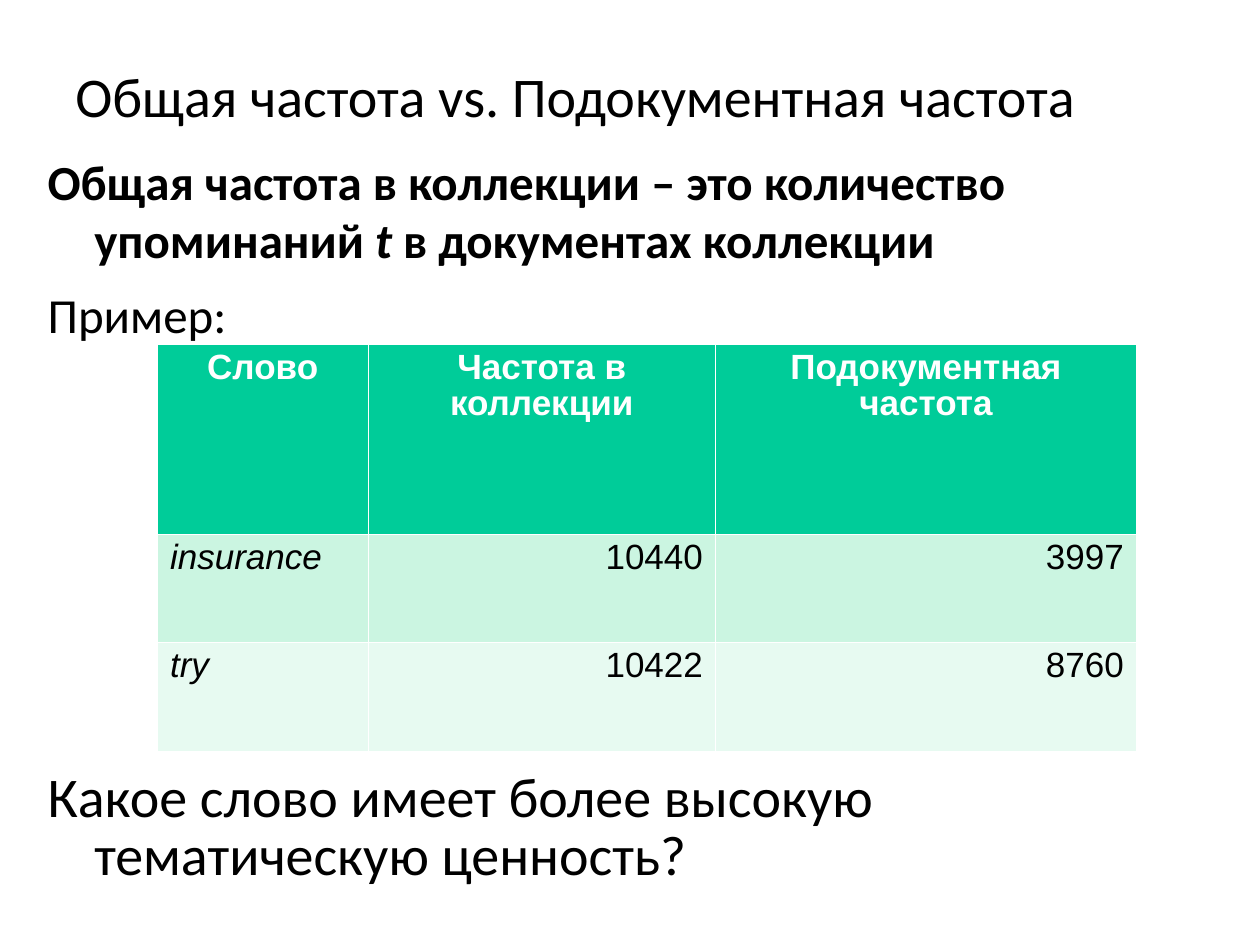
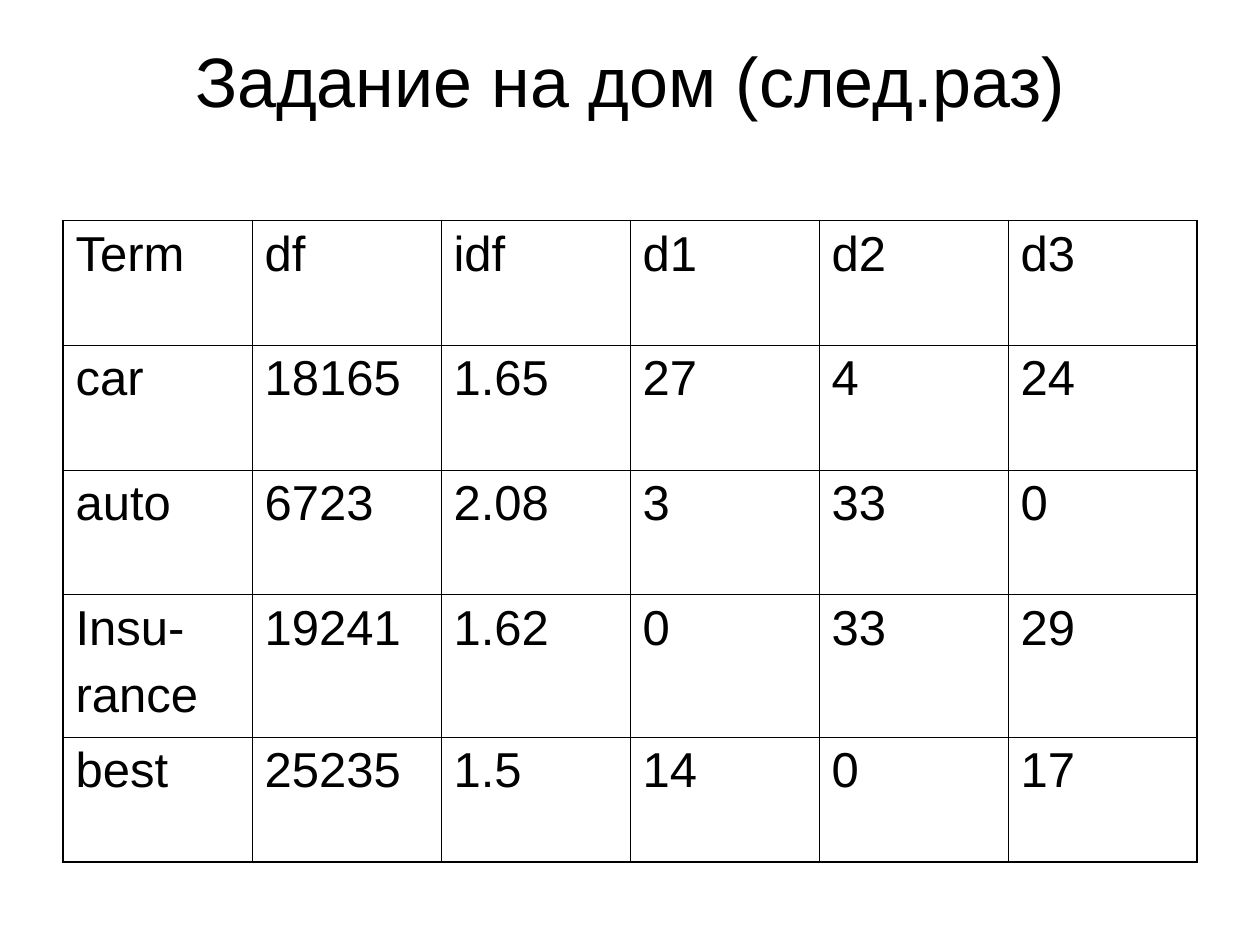
"""Build two slides on term frequency, each with a title and a table."""
from lxml import etree
from pptx import Presentation
from pptx.dml.color import RGBColor
from pptx.enum.text import MSO_ANCHOR, PP_ALIGN
from pptx.oxml.ns import qn
from pptx.util import Inches, Pt

LEFT, CENTER, RIGHT = PP_ALIGN.LEFT, PP_ALIGN.CENTER, PP_ALIGN.RIGHT
TOP, BOTTOM = MSO_ANCHOR.TOP, MSO_ANCHOR.BOTTOM

COLORS = {
    "ink": "000000",
    "paper": "FFFFFF",
    "header": "00CC99",
    "band_dark": "CBF5E1",
    "band_light": "E7FAF1",
}
COLUMNS, ROWS = 100, 75
CELL = Inches(0.1)

FREQUENCY_ROWS = [
    ["Слово", "Частота в коллекции", "Подокументная частота"],
    ["insurance", "10440", "3997"],
    ["try", "10422", "8760"],
]
HOMEWORK_ROWS = [
    ["Term", "df", "idf", "d1", "d2", "d3"],
    ["car", "18165", "1.65", "27", "4", "24"],
    ["auto", "6723", "2.08", "3", "33", "0"],
    ["Insu-\nrance", "19241", "1.62", "0", "33", "29"],
    ["best", "25235", "1.5", "14", "0", "17"],
]


def grid(*cells):
    """Turn counts of grid cells into lengths."""
    return [round(count * CELL) for count in cells]


def style(para, size, font="Calibri", color="ink", bold=False, italic=False,
          align=LEFT, spacing=1.0):
    """Set the font, alignment and line spacing of a paragraph."""
    para.alignment = align
    para.line_spacing = spacing
    para.font.size = Pt(size)
    para.font.name = font
    para.font.bold = bold
    para.font.italic = italic
    para.font.color.rgb = RGBColor.from_string(COLORS[color])


def add_box(page, place, anchor=TOP):
    """Add a wrapping text box and return its text frame."""
    frame = page.shapes.add_textbox(*grid(*place)).text_frame
    frame.word_wrap = True
    frame.vertical_anchor = anchor
    return frame


def add_title(page, text, place, anchor, size, **look):
    """Add a slide title."""
    frame = add_box(page, place, anchor)
    frame.paragraphs[0].text = text
    style(frame.paragraphs[0], size, **look)
    return frame


def add_hanging(para, spans, size, **look):
    """Fill a paragraph with a hanging indent from (text, italic) spans."""
    props = para._p.get_or_add_pPr()
    props.set("marL", str(Inches(0.38)))
    props.set("indent", str(-Inches(0.37)))
    para.space_after = Pt(14)
    style(para, size, **look)
    for text, italic in spans:
        span = para.add_run()
        span.text = text
        if italic:
            span.font.italic = True


def set_borders(cell, color, widths):
    """Draw the left, right, top and bottom borders of a cell."""
    props = cell._tc.get_or_add_tcPr()
    for index, (side, width) in enumerate(zip("LRTB", widths)):
        line = etree.Element(qn(f"a:ln{side}"), w=str(Pt(width)))
        fill = etree.SubElement(line, qn("a:solidFill"))
        etree.SubElement(fill, qn("a:srgbClr"), val=COLORS[color])
        props.insert(index, line)


def add_table(page, rows, corner, widths, heights):
    """Add a plain table with its text and return it."""
    place = grid(*corner, sum(widths), sum(heights))
    table = page.shapes.add_table(len(rows), len(widths), *place).table
    table.first_row = table.horz_banding = False
    for column, width in zip(table.columns, grid(*widths)):
        column.width = width
    for row, height, texts in zip(table.rows, grid(*heights), rows):
        row.height = height
        for cell, text in zip(row.cells, texts):
            cell.text = text
    return table


def style_frequency_table(table):
    """Give the frequency table its green bands and white rules."""
    bands = ["header", "band_dark", "band_light"]
    for r, (row, band) in enumerate(zip(table.rows, bands)):
        for c, cell in enumerate(row.cells):
            cell.fill.solid()
            cell.fill.fore_color.rgb = RGBColor.from_string(COLORS[band])
            header, word = r == 0, r > 0 and c == 0
            style(cell.text_frame.paragraphs[0], 20, "Arial",
                  "paper" if header else "ink", bold=header, italic=word,
                  align=CENTER if header else LEFT if word else RIGHT,
                  spacing=0.93)
            set_borders(cell, "paper", [0.23, 0.23, 0.75 if r == 1 else 0.23,
                                        0.75 if header else 0.23])


def style_homework_table(table):
    """Give the homework table thin inner rules and a thicker frame."""
    last_row, last_column = len(table.rows) - 1, len(table.columns) - 1
    for r, row in enumerate(table.rows):
        for c, cell in enumerate(row.cells):
            cell.fill.background()
            for index, para in enumerate(cell.text_frame.paragraphs):
                style(para, 28, "Arial")
                if index:
                    para.space_before = Pt(7)
            outer = [c == 0, c == last_column, r == 0, r == last_row]
            set_borders(cell, "ink", [1.08 if edge else 0.45 for edge in outer])


def build_frequency_slide(page):
    """Compare collection frequency with document frequency."""
    add_title(page, "Общая частота vs. Подокументная частота",
              (5, 3, 92.3, 7.7), BOTTOM, 32, spacing=1.24)
    definition = add_box(page, (2.7, 11.5, 93.7, 16))
    add_hanging(definition.paragraphs[0], [
        ("Общая частота в коллекции – это количество упоминаний ", False),
        ("t ", True),
        ("в документах коллекции", False),
    ], 28, bold=True)
    add_hanging(definition.add_paragraph(), [("Пример:", False)], 28, spacing=0.85)
    table = add_table(page, FREQUENCY_ROWS, (12.5, 27.3),
                      [16.7, 27.6, 33.4], [15.1, 8.6, 8.6])
    style_frequency_table(table)
    question = add_box(page, (2.7, 60.8, 93.7, 10.9))
    add_hanging(question.paragraphs[0], [
        ("Какое слово имеет более высокую тематическую ценность?", False),
    ], 32, spacing=0.85)


def build_homework_slide(page):
    """Show the homework table of terms and documents."""
    title = add_title(page, "Задание на дом (след.раз)", (5, 3, 90, 12.5),
                      TOP, 40, font="Arial", align=CENTER)
    title.margin_top = 0
    table = add_table(page, HOMEWORK_ROWS, (5, 17.5), [15] * 6,
                      [9.9, 9.9, 9.9, 11.3, 9.9])
    style_homework_table(table)


def main():
    """Build and save the deck."""
    deck = Presentation()
    deck.slide_width, deck.slide_height = grid(COLUMNS, ROWS)
    blank = deck.slide_layouts[6]
    for build in (build_frequency_slide, build_homework_slide):
        build(deck.slides.add_slide(blank))
    deck.save("out.pptx")


if __name__ == "__main__":
    main()
